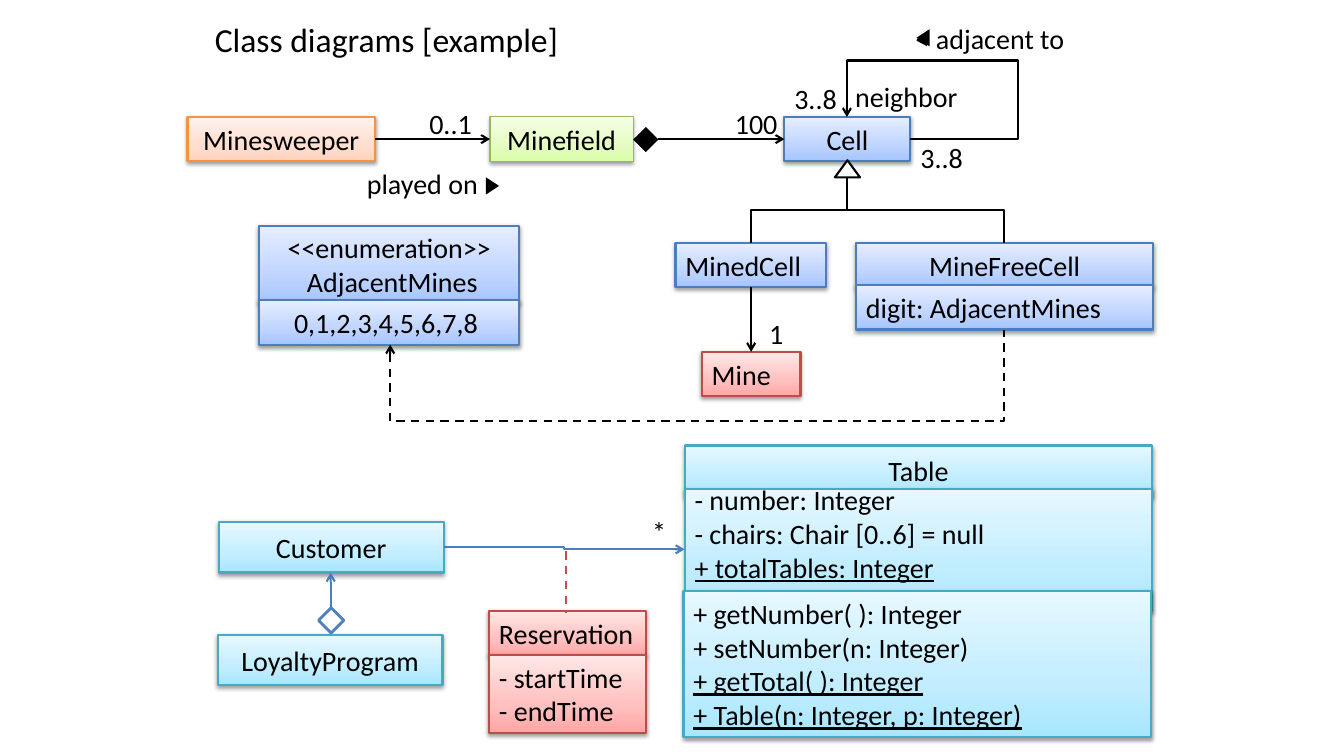
from dataclasses import dataclass
from typing import NamedTuple

from lxml.etree import SubElement
from pptx import Presentation
from pptx.dml.color import RGBColor
from pptx.enum.dml import MSO_LINE
from pptx.enum.shapes import MSO_CONNECTOR as Conn, MSO_SHAPE as Kind
from pptx.enum.text import MSO_ANCHOR as Anchor, PP_ALIGN as Align
from pptx.oxml.ns import qn
from pptx.util import Emu, Pt

SCALE = 9144  # EMU per px, 100 px to the inch
BLACK, WHITE = "000000", "FFFFFF"
LEFT, MID = Align.LEFT, Align.CENTER


class Run(NamedTuple):
    text: str
    bold: bool = False
    under: bool = False


class Tint(NamedTuple):
    edge: str
    stops: tuple[str, str, str]
    width: float = 1.5


class Link(NamedTuple):
    points: tuple[tuple[int, int], ...]  # any arrowhead sits at the first point
    arrow: bool = True
    color: str = BLACK
    dash: bool = False


class Mark(NamedTuple):
    kind: Kind
    place: tuple[int, int, int, int]
    fill: str = BLACK
    edge: str = ""
    width: float = 1.5
    turn: int = 0


@dataclass
class Box:
    place: tuple[int, int, int, int]
    tint: Tint
    paras: list[list[Run]]
    align: Align = MID
    foot: int = 5


@dataclass
class Label:
    place: tuple[int, int, int, int]
    runs: list[Run]


def lines(*texts: str, under: tuple[int, ...] = ()) -> list[list[Run]]:
    return [[Run(text, under=i in under)] for i, text in enumerate(texts)]


def px(value: float) -> Emu:
    return Emu(round(value * SCALE))


def rgb(color: str) -> RGBColor:
    return RGBColor.from_string(color)


def write(frame, paras: list[list[Run]], align: Align, size: int = 20) -> None:
    frame.word_wrap = True
    for i, runs in enumerate(paras):
        para = frame.paragraphs[0] if i == 0 else frame.add_paragraph()
        para.alignment = align
        for part in runs:
            if part.text == "\n":
                para.add_line_break()
                continue
            run = para.add_run()
            run.text = part.text
            font = run.font
            font.name, font.size = "Calibri", Pt(size)
            font.bold, font.underline = part.bold, part.under
            font.color.rgb = rgb(BLACK)


def shade(shape, tint: Tint) -> None:
    shape.fill.gradient()
    shape.fill.gradient_angle = 90
    stops = shape._element.spPr.find(".//" + qn("a:gsLst"))
    for old in list(stops):
        stops.remove(old)
    for pos, color in zip((0, 35, 100), tint.stops):
        stop = SubElement(stops, qn("a:gs"), pos=str(pos * 1000))
        SubElement(stop, qn("a:srgbClr"), val=color)
    shape.line.color.rgb = rgb(tint.edge)
    shape.line.width = Pt(tint.width)
    # Soft shadow straight below
    shape.shadow.inherit = False
    effects = shape._element.spPr.find(qn("a:effectLst"))
    drop = SubElement(effects, qn("a:outerShdw"), blurRad=str(Pt(3.1)),
                      dist=str(Pt(1.6)), dir="5400000", rotWithShape="0")
    color = SubElement(drop, qn("a:srgbClr"), val=BLACK)
    SubElement(color, qn("a:alpha"), val="38000")


def draw_box(shapes, box: Box) -> None:
    shape = shapes.add_shape(Kind.RECTANGLE, *map(px, box.place))
    shade(shape, box.tint)
    frame = shape.text_frame
    frame.vertical_anchor = Anchor.MIDDLE
    frame.margin_bottom = px(box.foot)
    write(frame, box.paras, box.align)


def draw_label(shapes, label: Label) -> None:
    shape = shapes.add_textbox(*map(px, label.place))
    write(shape.text_frame, [label.runs], LEFT)


def draw_link(shapes, link: Link) -> None:
    (x1, y1), (x2, y2) = link.points[0], link.points[-1]
    bends = link.points[1:-1]
    down = bool(bends) and bends[0][0] == x1
    ends = x1, y1, x2, y2
    if down:  # a quarter turn makes the elbow leave vertically
        cx, cy, dx, dy = (x1 + x2) / 2, (y1 + y2) / 2, (x2 - x1) / 2, (y2 - y1) / 2
        ends = cx - dy, cy + dx, cx + dy, cy - dx
    line = shapes.add_connector(Conn.ELBOW if bends else Conn.STRAIGHT, *map(px, ends))
    props = line._element.spPr
    if down:
        props.find(qn("a:xfrm")).set("rot", "5400000")
    if bends:
        geom = props.find(qn("a:prstGeom"))
        geom.set("prst", f"bentConnector{len(bends) + 1}")
        ratios = [(bends[0][0] - x1) / (x2 - x1) if not down else (bends[0][1] - y1) / (y2 - y1)]
        if len(bends) == 3:
            ratios.append((bends[1][0] - x1) / (x2 - x1))
        for i, ratio in enumerate(ratios, 1):
            SubElement(geom.find(qn("a:avLst")), qn("a:gd"),
                       name=f"adj{i}", fmla=f"val {round(ratio * 100000)}")
    line.line.color.rgb = rgb(link.color)
    line.line.width = Pt(1.5)
    if link.dash:
        line.line.dash_style = MSO_LINE.DASH
    if link.arrow:
        SubElement(props.find(qn("a:ln")), qn("a:headEnd"), type="arrow")
    SubElement(props, qn("a:effectLst"))


def draw_mark(shapes, mark: Mark) -> None:
    shape = shapes.add_shape(mark.kind, *map(px, mark.place))
    shape.shadow.inherit = False
    shape.rotation = mark.turn
    shape.fill.solid()
    shape.fill.fore_color.rgb = rgb(mark.fill)
    if mark.edge:
        shape.line.color.rgb = rgb(mark.edge)
        shape.line.width = Pt(mark.width)
    else:
        shape.line.fill.background()


ORANGE = Tint("F69240", ("FFD2BD", "FFDED0", "FFF2ED"))
GREEN = Tint("98B955", ("DAFDA7", "E4FCC2", "F5FFE7"), 0.75)
BLUE = Tint("4B7EBC", ("A4C4FF", "BFD4FF", "E6EEFF"))
RED = Tint("BF4C48", ("FFA6A5", "FFC0BF", "FFE7E7"))
AQUA = Tint("46AAC5", ("A7E6FF", "C1EDFF", "E7F8FF"))

BOXES = [
    # Game classes
    Box((186, 116, 186, 44), ORANGE, lines("Minesweeper")),
    Box((486, 116, 142, 44), GREEN, lines("Minefield")),
    Box((778, 116, 125, 44), BLUE, lines("Cell")),
    Box((670, 241, 149, 44), BLUE, lines("MinedCell"), LEFT),
    Box((849, 241, 295, 44), BLUE, lines("MineFreeCell")),
    Box((849, 283, 295, 44), BLUE, lines("digit: AdjacentMines"), LEFT),
    Box((696, 349, 98, 44), RED, lines("Mine"), LEFT),
    Box((257, 224, 258, 77), BLUE,
        [[Run("<<enumeration>>"), Run("\n"), Run(" AdjacentMines")]]),
    Box((257, 298, 258, 44), BLUE, lines("0,1,2,3,4,5,6,7,8 ")),
    # Restaurant classes
    Box((679, 442, 464, 50), AQUA, lines("Table")),
    Box((679, 485, 464, 121), AQUA,
        lines("- number: Integer", "- chairs: Chair [0..6] = null",
              "+ totalTables: Integer", under=(2,)), LEFT, foot=38),
    Box((678, 586, 464, 145), AQUA,
        lines("+ getNumber( ): Integer", "+ setNumber(n: Integer)", "+ getTotal( ): Integer",
              "+ Table(n: Integer, p: Integer)", under=(2, 3)), LEFT),
    Box((217, 518, 223, 50), AQUA, lines("Customer")),
    Box((216, 630, 223, 50), AQUA, lines("LoyaltyProgram")),
    Box((485, 606, 156, 44), RED, lines("Reservation"), LEFT),
    Box((485, 650, 156, 77), RED, lines("- startTime", "- endTime"), LEFT),
]

LABELS = [
    Label((892, 16, 175, 44), [Run(" "), Run("<", bold=True), Run(" adjacent to")]),
    Label((778, 76, 67, 44), [Run("3..8")]),
    Label((903, 134, 67, 44), [Run("3..8")]),
    Label((753, 309, 42, 44), [Run("1")]),
    Label((719, 101, 75, 44), [Run("100")]),
    Label((416, 101, 70, 44), [Run("0..1")]),
    Label((354, 160, 173, 44), [Run("played on >")]),
    Label((637, 506, 35, 44), [Run("*")]),
    Label((832, 74, 175, 44), [Run(" neighbor")]),
]

LINKS = [
    Link(((778, 138), (653, 138))),
    Link(((486, 138), (372, 138))),
    Link(((745, 241), (745, 208), (840, 208), (840, 176)), arrow=False),
    Link(((996, 241), (996, 208), (840, 208), (840, 176)), arrow=False),
    Link(((745, 349), (745, 285))),
    Link(((840, 116), (840, 60), (1010, 60), (1010, 138), (903, 138))),
    Link(((387, 342), (387, 418), (996, 418), (996, 327)), dash=True),
    Link(((679, 545), (559, 545), (559, 543), (440, 543)), color="4B7EBC"),
    Link(((561, 547), (561, 608)), arrow=False, color="C0504D", dash=True),
    Link(((328, 568), (328, 603)), color="4B7EBC"),
]

MARKS = [
    Mark(Kind.ISOSCELES_TRIANGLE, (828, 159, 25, 17), WHITE, BLACK),
    Mark(Kind.FLOWCHART_DECISION, (628, 126, 25, 25)),
    Mark(Kind.ISOSCELES_TRIANGLE, (480, 178, 17, 13), turn=90),
    Mark(Kind.ISOSCELES_TRIANGLE, (907, 31, 17, 13), turn=270),
    Mark(Kind.FLOWCHART_DECISION, (316, 603, 25, 25), WHITE, "4F81BD", 2),
]


def main() -> None:
    deck = Presentation()
    deck.slide_width, deck.slide_height = px(1333), px(750)
    shapes = deck.slides.add_slide(deck.slide_layouts[5]).shapes
    # Title
    title = shapes.title
    title.left, title.top, title.width, title.height = map(px, (203, 21, 397, 41))
    title.text_frame.vertical_anchor = Anchor.MIDDLE
    write(title.text_frame, lines("Class diagrams [example]"), LEFT, 24)
    title.text_frame.paragraphs[0].line_spacing = 0.9
    # Diagram, from back to front
    for draw, parts in ((draw_box, BOXES), (draw_label, LABELS),
                        (draw_link, LINKS), (draw_mark, MARKS)):
        for part in parts:
            draw(shapes, part)
    deck.save("out.pptx")


if __name__ == "__main__":
    main()
